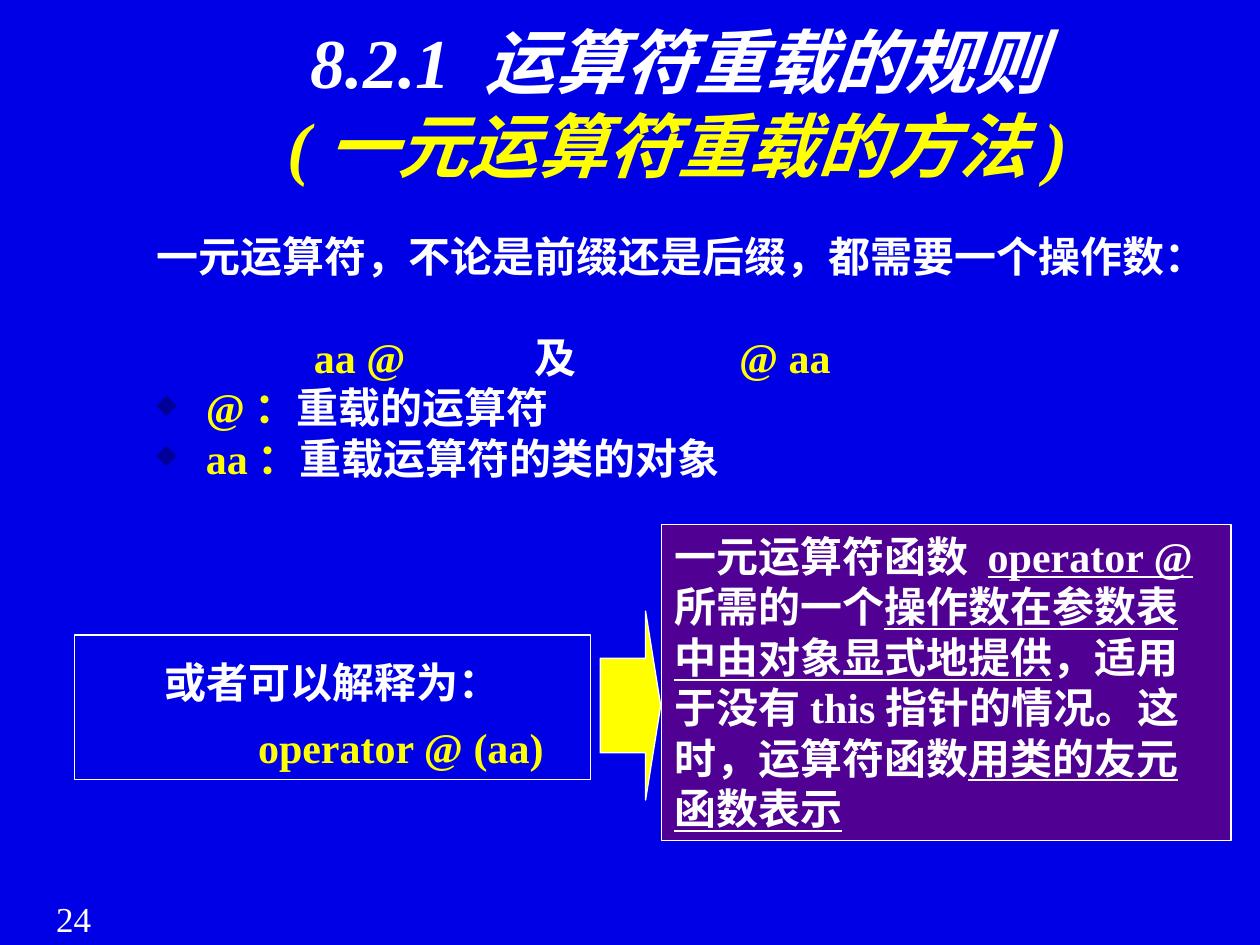
from dataclasses import dataclass

from lxml import etree
from pptx import Presentation
from pptx import util as u
from pptx.dml.color import RGBColor
from pptx.enum import shapes, text
from pptx.oxml.ns import qn


@dataclass(frozen=True)
class Theme:
    font: str = "Times New Roman"
    background: str = "0000E7"
    white: str = "FFFFFF"
    yellow: str = "FFFF00"
    purple: str = "500093"
    bullet: str = "000099"
    title: int = 40
    body: int = 24
    number: int = 20
    line: float = 0.75


T = Theme()
CENTER = text.PP_ALIGN.CENTER


def rgb(value):
    return RGBColor.from_string(value)


def add_child(parent, tag, **attrs):
    return etree.SubElement(parent, qn(tag), attrs)


def set_frame(sp, anchor=text.MSO_ANCHOR.TOP, grow=True):
    tf = sp.text_frame
    tf.word_wrap = True
    tf.vertical_anchor = anchor
    tf.auto_size = (text.MSO_AUTO_SIZE.SHAPE_TO_FIT_TEXT if grow
                    else text.MSO_AUTO_SIZE.NONE)
    return tf


def add_textbox(slide, x, y, w, h, **frame):
    sp = slide.shapes.add_textbox(u.Cm(x), u.Cm(y), u.Cm(w), u.Cm(h))
    return set_frame(sp, **frame)


def add_block(slide, kind, x, y, w, h, fill=None):
    sp = slide.shapes.add_shape(kind, u.Cm(x), u.Cm(y), u.Cm(w), u.Cm(h))
    sp.shadow.inherit = False
    if fill:
        sp.fill.solid()
        sp.fill.fore_color.rgb = rgb(fill)
    else:
        sp.fill.background()
    sp.line.color.rgb = rgb(T.white)
    sp.line.width = u.Pt(T.line)
    return sp


def write(p, *parts, size=T.body, bold=True, italic=False, align=text.PP_ALIGN.LEFT):
    """Fill a paragraph from (words, colour[, underlined]) parts."""
    p.alignment = align
    for words, color, *underlined in parts:
        r = p.add_run()
        r.text = words
        f = r.font
        f.name, f.size, f.bold, f.italic = T.font, u.Pt(size), bold, italic
        f.color.rgb = rgb(color)
        if underlined:
            f.underline = True


def indent(p, left, first=0):
    pPr = p._p.get_or_add_pPr()
    pPr.set("marL", str(u.Cm(left)))
    pPr.set("indent", str(u.Cm(first)))
    return pPr


def set_tabs(p, *stops):
    tabs = add_child(p._p.get_or_add_pPr(), "a:tabLst")
    for stop in stops:
        add_child(tabs, "a:tab", pos=str(u.Cm(stop)), algn="l")


def set_bullet(p):
    pPr = indent(p, 1, -1)
    add_child(add_child(pPr, "a:buClr"), "a:srgbClr", val=T.bullet)
    add_child(pPr, "a:buSzPct", val="65000")
    add_child(pPr, "a:buChar", char="◆")


def add_title(slide):
    tf = add_textbox(slide, 3.5, 0.7, 20.32, 3.18,
                     anchor=text.MSO_ANCHOR.BOTTOM, grow=False)
    style = dict(size=T.title, italic=True, align=CENTER)
    write(tf.paragraphs[0], ("8.2.1 运算符重载的规则", T.white), **style)
    write(tf.add_paragraph(), ("(一元运算符重载的方法)", T.yellow), **style)


def add_body(slide):
    tf = add_textbox(slide, 2.9, 4.52, 21.92, 5.38)
    write(tf.paragraphs[0],
          ("一元运算符，不论是前缀还是后缀，都需要一个操作数：", T.white))

    # Postfix and prefix forms, one line apart from the introduction
    p = tf.add_paragraph()
    set_tabs(p, 3.18, 7.62, 11.75)
    p.space_before = u.Pt(29)
    write(p, ("\taa @", T.yellow), ("\t及", T.white), ("\t@ aa", T.yellow))

    for symbol, meaning in (("@：", "重载的运算符"), ("aa：", "重载运算符的类的对象")):
        p = tf.add_paragraph()
        set_bullet(p)
        write(p, (symbol, T.yellow), (meaning, T.white))


def add_call_form(slide):
    sp = add_block(slide, shapes.MSO_SHAPE.RECTANGLE, 1.5, 12.8, 10.41, 2.92)
    tf = set_frame(sp)
    lines = (("或者可以解释为：", T.white, 0), ("operator @ (aa)", T.yellow, 2.75))
    for i, (words, color, left) in enumerate(lines):
        p = tf.add_paragraph() if i else tf.paragraphs[0]
        indent(p, left)
        p.line_spacing = 1.3
        write(p, (words, color), align=CENTER)


def add_explanation(slide):
    sp = add_block(slide, shapes.MSO_SHAPE.RECTANGLE,
                   13.34, 10.57, 11.48, 6.38, T.purple)
    write(set_frame(sp).paragraphs[0],
          ("一元运算符函数 ", T.white),
          ("operator @", T.white, True),
          (" 所需的一个", T.white),
          ("操作数在参数表中由对象显式地提供", T.white, True),
          ("，适用于没有this指针的情况。这时，运算符函数", T.white),
          ("用类的友元函数表示", T.white, True))


def add_arrow(slide):
    sp = add_block(slide, shapes.MSO_SHAPE.RIGHT_ARROW,
                   12.1, 12.32, 1.22, 3.81, T.yellow)
    sp.adjustments[0] = 0.5
    sp.adjustments[1] = 0.25


def add_number(slide):
    tf = add_textbox(slide, 0.43, 17.96, 2.11, 1.09)
    write(tf.paragraphs[0], ("24", T.white), size=T.number, bold=False, align=CENTER)


def main():
    prs = Presentation()
    prs.slide_width, prs.slide_height = u.Cm(25.4), u.Cm(19.05)
    slide = prs.slides.add_slide(prs.slide_layouts[6])
    slide.background.fill.solid()
    slide.background.fill.fore_color.rgb = rgb(T.background)

    # Heading and definitions
    add_number(slide)
    add_title(slide)
    add_body(slide)

    # Call form leading to its explanation
    add_call_form(slide)
    add_explanation(slide)
    add_arrow(slide)
    prs.save("out.pptx")


if __name__ == "__main__":
    main()
